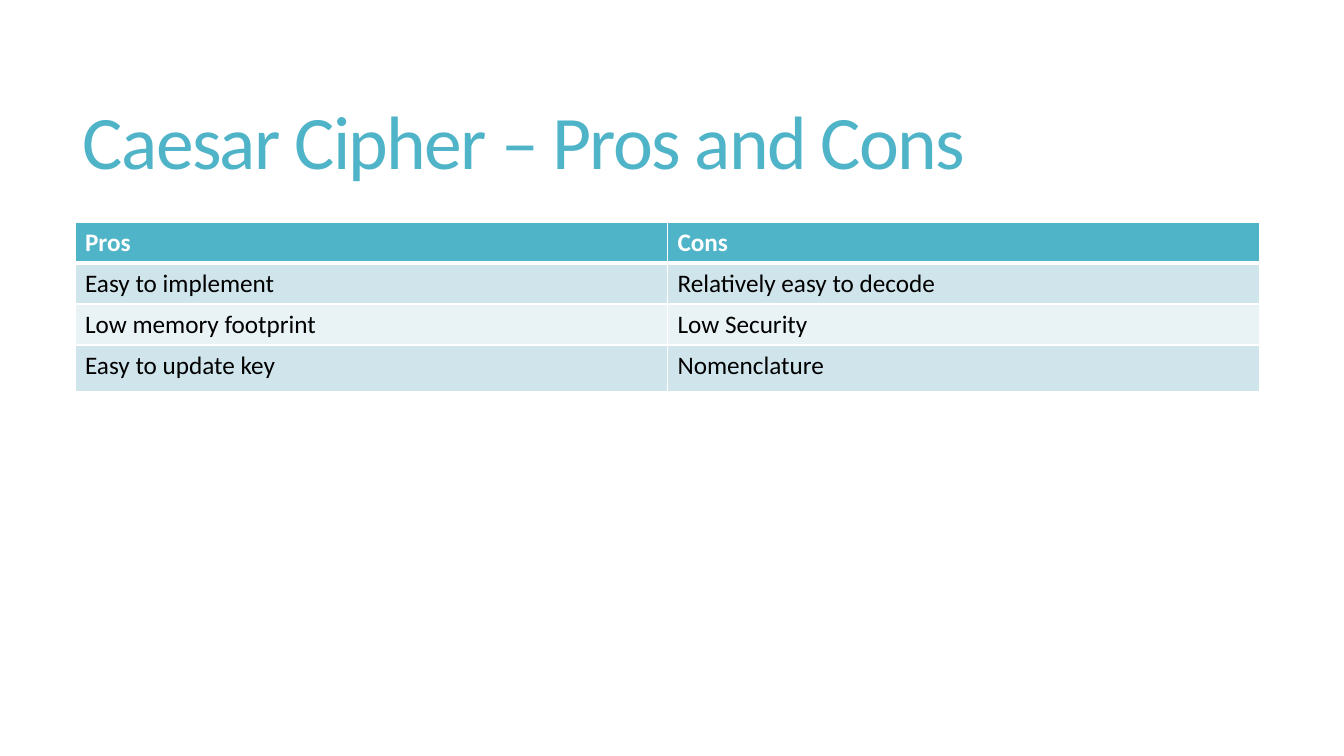
"""Builds the slide on the pros and cons of the Caesar cipher."""
from lxml.etree import SubElement
from pptx import Presentation
from pptx.dml.color import RGBColor
from pptx.enum.text import MSO_ANCHOR as Anchor
from pptx.oxml.ns import qn
from pptx.util import Emu, Pt

EMU_PER_INCH = 914400
PX_PER_INCH = 100.8
TEAL = RGBColor(0x50, 0xB4, 0xC8)
BAND_DARK = RGBColor(0xD0, 0xE5, 0xEB)
BAND_LIGHT = RGBColor(0xE9, 0xF2, 0xF5)
WHITE = RGBColor(0xFF, 0xFF, 0xFF)
BLACK = RGBColor(0x00, 0x00, 0x00)


def px(length):
    return Emu(round(length * EMU_PER_INCH / PX_PER_INCH))


def write(frame, text, size=18, color=BLACK, bold=False, line_spacing=None, tracking=None):
    para = frame.paragraphs[0]
    para.line_spacing = line_spacing
    span = para.add_run()
    span.text = text
    span.font.name = "Calibri"
    span.font.size = Pt(size)
    span.font.bold = bold
    span.font.color.rgb = color
    if tracking is not None:
        span.font._element.set("spc", str(round(tracking * 100)))


deck = Presentation()
deck.slide_width, deck.slide_height = px(1344), px(756)
page = deck.slides.add_slide(deck.slide_layouts[6])

title = page.shapes.add_textbox(px(73), px(55), px(1187), px(182)).text_frame
title.word_wrap = True
title.vertical_anchor = Anchor.MIDDLE
write(title, "Caesar Cipher – Pros and Cons", size=54, color=TEAL, line_spacing=0.85, tracking=-1.2)

rows = [
    ("Pros", "Cons"),
    ("Easy to implement", "Relatively easy to decode"),
    ("Low memory footprint", "Low Security"),
    ("Easy to update key", "Nomenclature"),
]
row_heights = [41, 41, 41, 47]
table = page.shapes.add_table(
    len(rows), 2, px(75), px(222), px(1185), px(sum(row_heights))
).table

for row_index, (texts, height) in enumerate(zip(rows, row_heights)):
    table.rows[row_index].height = px(height)
    header = row_index == 0
    band = BAND_DARK if row_index % 2 else BAND_LIGHT
    borders = {
        "a:lnL": 1,
        "a:lnR": 1,
        "a:lnT": 3 if row_index == 1 else 1,
        "a:lnB": 3 if header else 1,
    }
    for column_index, text in enumerate(texts):
        cell = table.cell(row_index, column_index)
        write(cell.text_frame, text, color=WHITE if header else BLACK, bold=header)
        properties = cell._tc.get_or_add_tcPr()
        for side, width in borders.items():
            line = SubElement(properties, qn(side), w=str(Pt(width)))
            SubElement(SubElement(line, qn("a:solidFill")), qn("a:srgbClr"), val=str(WHITE))
        cell.fill.solid()
        cell.fill.fore_color.rgb = TEAL if header else band

deck.save("out.pptx")
